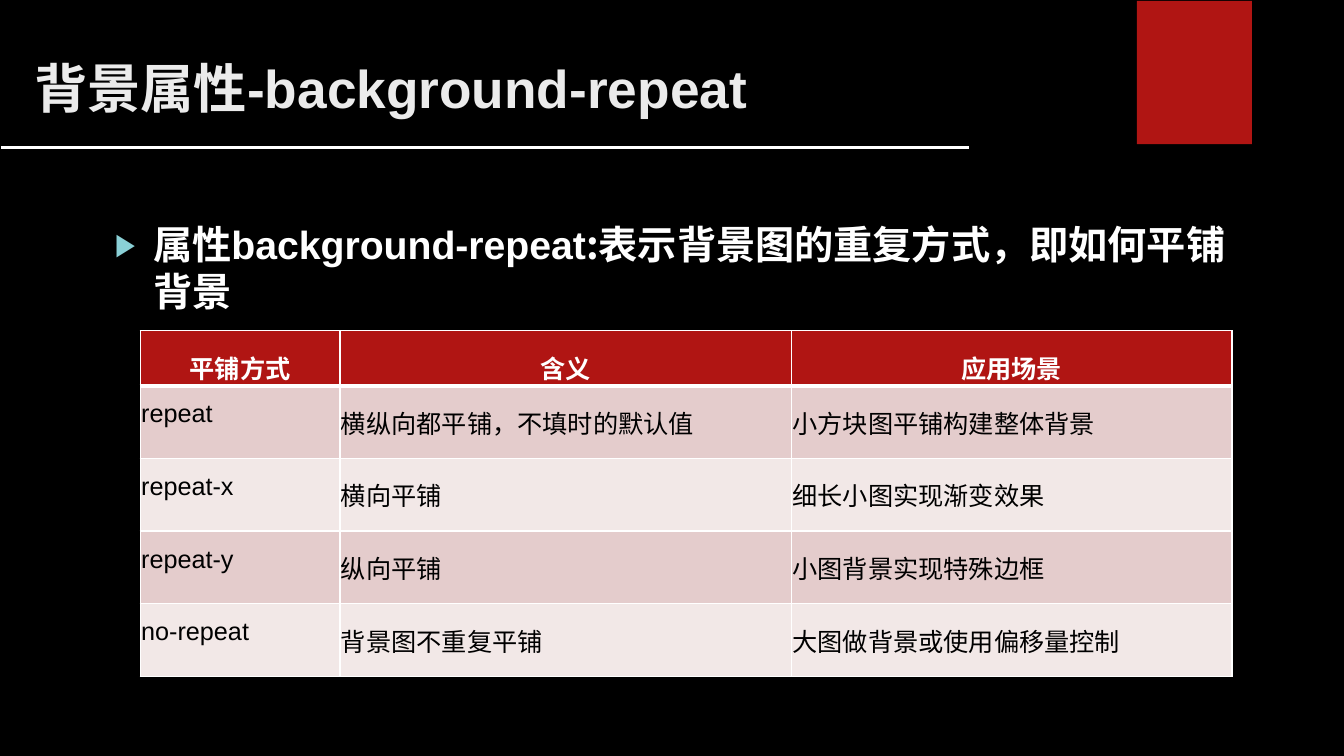
import pptx
import pptx.util
import pptx.dml.color
import pptx.enum.shapes
import pptx.enum.text
import pptx.oxml
import pptx.oxml.ns
import lxml.etree

WIDTH, HEIGHT = 13.33, 7.5
LATIN, CJK = "Arial", "Noto Sans CJK SC"
WHITE, BLACK, RED = "FFFFFF", "000000", "B01513"
BANDS = ["E4CCCC", "F2E8E7"]
ALIGN = pptx.enum.text.PP_ALIGN
inch, pt = pptx.util.Inches, pptx.util.Pt

REPEAT_MODES = [
    ("平铺方式", "含义", "应用场景"),
    ("repeat", "横纵向都平铺，不填时的默认值", "小方块图平铺构建整体背景"),
    ("repeat-x", "横向平铺", "细长小图实现渐变效果"),
    ("repeat-y", "纵向平铺", "小图背景实现特殊边框"),
    ("no-repeat", "背景图不重复平铺", "大图做背景或使用偏移量控制"),
]


def color(hex_code):
    return pptx.dml.color.RGBColor.from_string(hex_code)


def child(parent, tag, **attributes):
    return lxml.etree.SubElement(parent, pptx.oxml.ns.qn(tag), attributes)


def paint(target, hex_code):
    target.fill.solid()
    target.fill.fore_color.rgb = color(hex_code)


def add_run(paragraph, text, size, hex_code, bold):
    run = paragraph.add_run()
    run.text = text
    face = LATIN if text.isascii() else CJK
    run.font.name, run.font.size, run.font.bold = face, pt(size), bold
    run.font.color.rgb = color(hex_code)
    child(run._r.get_or_add_rPr(), "a:ea", typeface=face)


def add_text(slide, box, runs, size, hex_code):
    frame = slide.shapes.add_textbox(*map(inch, box)).text_frame
    frame.word_wrap = True
    paragraph = frame.paragraphs[0]
    for text in runs:
        add_run(paragraph, text, size, hex_code, True)
    return paragraph


# Header: red tab, rule and title
def add_header(slide, left, top, width, height):
    tab = slide.shapes.add_shape(
        pptx.enum.shapes.MSO_SHAPE.RECTANGLE,
        inch(left + width * 0.846), inch(top + 0.01), inch(1.14), inch(1.42))
    tab.shadow.inherit = False
    paint(tab, RED)
    tab.line.fill.background()

    rule_y = inch(top + height)
    rule = slide.shapes.add_connector(
        pptx.enum.shapes.MSO_CONNECTOR.STRAIGHT,
        inch(left + 0.01), rule_y, inch(left + width * 0.721), rule_y)
    rule.line.color.rgb = color(WHITE)
    rule.line.width = pt(2.25)
    child(rule._element.spPr, "a:effectLst")

    add_text(slide, (left + 0.24, top + 0.5, 10.83, 1.21),
             ["背景属性", "-background-repeat"], 38, "EBEBEB")


# Bulleted definition of the property
def add_definition(slide, *box):
    paragraph = add_text(
        slide, box,
        ["属性", "background-repeat", ":表示背景图的重复方式，即如何平铺背景"], 28, WHITE)
    paragraph.space_before = pt(10)
    properties = paragraph._p.get_or_add_pPr()
    indent = inch(0.38)
    properties.set("marL", str(indent))
    properties.set("indent", str(-indent))
    child(child(properties, "a:buClr"), "a:srgbClr", val="8AD0D6")
    child(properties, "a:buSzPct", val="80000")
    child(properties, "a:buFont", typeface=LATIN)
    child(properties, "a:buChar", char="▶")


def set_borders(cell, bottom_width):
    properties = cell._tc.get_or_add_tcPr()
    sides = [("L", 1), ("R", 1), ("T", 1), ("B", bottom_width)]
    for position, (side, width) in enumerate(sides):
        border = child(properties, "a:ln" + side, w=str(pt(width)))
        child(child(border, "a:solidFill"), "a:srgbClr", val=WHITE)
        properties.insert(position, border)


# Table of repeat modes
def add_mode_table(slide, left, top, width, height):
    table = slide.shapes.add_table(
        len(REPEAT_MODES), len(REPEAT_MODES[0]),
        inch(left), inch(top), inch(width), inch(height)).table
    for column, share in zip(table.columns, (0.183, 0.4135, 0.4035)):
        column.width = inch(width * share)
    header_height = height * 0.16
    mode_height = (height - header_height) / (len(REPEAT_MODES) - 1)

    for row, texts in enumerate(REPEAT_MODES):
        is_header = row == 0
        table.rows[row].height = inch(header_height if is_header else mode_height)
        for column, text in enumerate(texts):
            cell = table.cell(row, column)
            cell.margin_left = cell.margin_right = inch(0.01)
            cell.margin_top = cell.margin_bottom = 0
            paint(cell, RED if is_header else BANDS[(row - 1) % 2])
            set_borders(cell, 3 if is_header else 1)
            if row == 1:
                cell_top = child(cell._tc.tcPr, "a:lnT", w=str(pt(3)))
                child(child(cell_top, "a:solidFill"), "a:srgbClr", val=WHITE)
                cell._tc.tcPr.replace(
                    cell._tc.tcPr.find(pptx.oxml.ns.qn("a:lnT")), cell_top)
            paragraph = cell.text_frame.paragraphs[0]
            paragraph.alignment = ALIGN.CENTER if is_header else ALIGN.JUSTIFY
            paragraph.line_spacing = 1.5
            add_run(paragraph, text, 18, WHITE if is_header else BLACK, is_header)


def main():
    deck = pptx.Presentation()
    deck.slide_width, deck.slide_height = inch(WIDTH), inch(HEIGHT)
    slide = deck.slides.add_slide(deck.slide_layouts[6])
    paint(slide.background, BLACK)
    add_header(slide, 0, 0, WIDTH, 1.46)
    add_definition(slide, 1.04, 2.14, 11.43, 4.55)
    add_mode_table(slide, 1.39, 3.28, 10.83, 3.43)
    deck.save("out.pptx")


if __name__ == "__main__":
    main()
